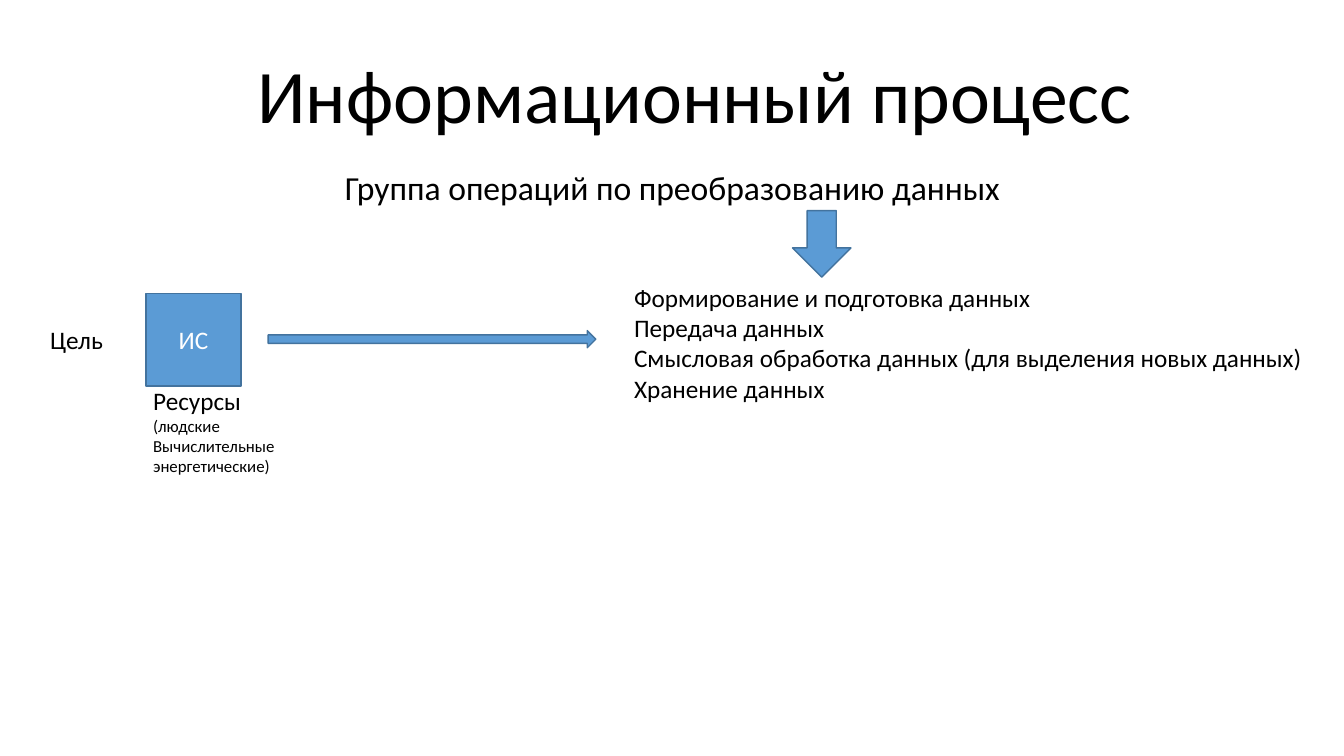
from pptx import Presentation
from pptx.dml.color import RGBColor
from pptx.enum.shapes import MSO_SHAPE
from pptx.enum.text import MSO_ANCHOR, PP_ALIGN
from pptx.util import Inches, Pt

RECT, RIGHT, DOWN = MSO_SHAPE.RECTANGLE, MSO_SHAPE.RIGHT_ARROW, MSO_SHAPE.DOWN_ARROW
TOP, MIDDLE, BOTTOM = MSO_ANCHOR.TOP, MSO_ANCHOR.MIDDLE, MSO_ANCHOR.BOTTOM
LEFT, CENTER = PP_ALIGN.LEFT, PP_ALIGN.CENTER
FONT = "Calibri"
COLORS = {"text": "000000", "light": "FFFFFF", "fill": "5B9BD5", "line": "43739E"}


def color(name):
    return RGBColor.from_string(COLORS[name])


def write(shape, lines, align=LEFT, anchor=TOP, ink="text", wrap=True, spacing=1.0):
    frame = shape.text_frame
    frame.word_wrap = wrap
    frame.vertical_anchor = anchor
    frame.text = "\n".join(text for text, size in lines)
    for para, (text, size) in zip(frame.paragraphs, lines):
        para.alignment = align
        para.line_spacing = spacing
        para.font.name = FONT
        para.font.size = Pt(size)
        para.font.color.rgb = color(ink)


def label(slide, box, lines, **style):
    shape = slide.shapes.add_textbox(*map(Inches, box))
    write(shape, lines, **style)


def block(slide, kind, box):
    shape = slide.shapes.add_shape(kind, *map(Inches, box))
    shape.shadow.inherit = False
    shape.fill.solid()
    shape.fill.fore_color.rgb = color("fill")
    shape.line.color.rgb = color("line")
    shape.line.width = Pt(1)
    return shape


def header(slide, box):
    left, top, width, height = box
    title = slide.shapes.title
    title.left, title.top, title.width, title.height = map(Inches, box)
    write(title, [("Информационный процесс", 54)],
          align=CENTER, anchor=BOTTOM, spacing=0.9)
    label(slide, (left - 0.22, top + 1.21, width, 0.5),
          [("Группа операций по преобразованию данных", 24)],
          align=CENTER, spacing=0.9)


def system(slide, box):
    left, top, width, height = box
    square = block(slide, RECT, box)
    write(square, [("ИС", 18)], align=CENTER, anchor=MIDDLE, ink="light")
    label(slide, (left - 1.05, top + 0.26, 0.73, 0.4), [("Цель", 18)], wrap=False)
    label(slide, (left - 0.03, top + 0.86, 1.42, 1.01),
          [("Ресурсы", 18), ("(людские", 12),
           ("Вычислительные", 12), ("энергетические)", 12)], wrap=False)
    block(slide, RIGHT, (left + 1.21, top + 0.37, 3.25, 0.17))


def steps(slide, box):
    left, top, width, height = box
    block(slide, DOWN, (left + 1.67, top - 0.66, 0.58, 0.66))
    names = ["Формирование и подготовка данных", "Передача данных",
             "Смысловая обработка данных (для выделения новых данных)",
             "Хранение данных"]
    label(slide, box, [(name, 18) for name in names], wrap=False)


deck = Presentation()
deck.slide_width, deck.slide_height = Inches(13.33), Inches(7.5)
page = deck.slides.add_slide(deck.slide_layouts[5])
header(page, (1.89, 0.44, 10, 1))
system(page, (1.45, 2.91, 0.94, 0.92))
steps(page, (6.19, 2.75, 6.89, 1.62))
deck.save("out.pptx")
